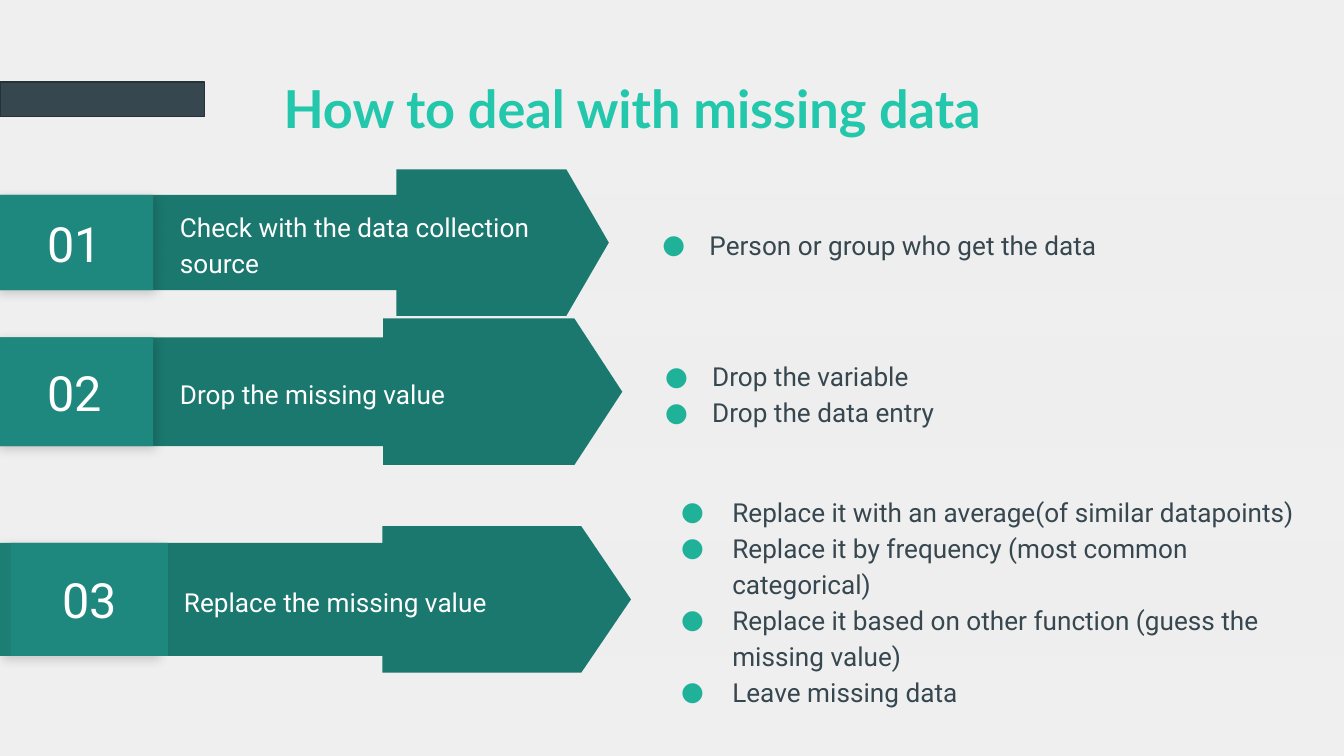
from lxml import etree
from pptx import Presentation
from pptx.dml.color import RGBColor
from pptx.enum.shapes import MSO_SHAPE
from pptx.enum.text import MSO_ANCHOR, MSO_AUTO_SIZE, PP_ALIGN
from pptx.oxml.ns import qn
from pptx.util import Inches, Pt

RECT = MSO_SHAPE.RECTANGLE
POINTER = MSO_SHAPE.FLOWCHART_OFFPAGE_CONNECTOR
TOP, MIDDLE = MSO_ANCHOR.TOP, MSO_ANCHOR.MIDDLE
LEFT, CENTER = PP_ALIGN.LEFT, PP_ALIGN.CENTER
CELL = Inches(0.1)
COLUMNS, ROWS = 100, 56.25
POINTER_HEIGHT = 10.9
TEAL, DARK, WHITE = "1B786E", "37474F", "FFFFFF"


def cells(*counts):
    return [round(count * CELL) for count in counts]


def color(value):
    return RGBColor.from_string(value)


def add_block(parent, kind, box, fill, line=None):
    block = parent.shapes.add_shape(kind, *cells(*box))
    block.shadow.inherit = False
    block.fill.solid()
    block.fill.fore_color.rgb = color(fill)
    if line:
        block.line.color.rgb = color(line)
        block.line.width = Pt(0.75)
    else:
        block.line.fill.background()
    return block


def add_soft_shadow(block):
    effects = block._element.spPr.find(qn("a:effectLst"))
    shadow = etree.SubElement(
        effects, qn("a:outerShdw"), blurRad=str(Pt(5.6)),
        dist=str(Pt(2.2)), dir=str(45 * 60000), rotWithShape="0")
    shade = etree.SubElement(shadow, qn("a:srgbClr"), val="000000")
    etree.SubElement(shade, qn("a:alpha"), val="17000")


def set_frame(frame, anchor=MIDDLE):
    frame.word_wrap = True
    frame.auto_size = MSO_AUTO_SIZE.NONE
    frame.vertical_anchor = anchor
    frame.margin_left = frame.margin_right = CELL
    frame.margin_top = frame.margin_bottom = CELL


def add_span(para, text, size, ink, font="Roboto", bold=False):
    span = para.add_run()
    span.text = text
    span.font.size = Pt(size)
    span.font.name = font
    span.font.bold = bold
    span.font.color.rgb = color(ink)


def set_bullet(para, hanging):
    props = para._p.get_or_add_pPr()
    props.set("marL", str(Inches(0.5)))
    props.set("indent", str(-Inches(hanging)))
    tint = etree.SubElement(props, qn("a:buClr"))
    etree.SubElement(tint, qn("a:srgbClr"), val="1FB299")
    etree.SubElement(props, qn("a:buFont"), typeface="Roboto")
    etree.SubElement(props, qn("a:buChar"), char="●")


def add_text(parent, box, lines, ink, hanging=None):
    frame = parent.shapes.add_textbox(*cells(*box)).text_frame
    set_frame(frame)
    for index, line in enumerate(lines):
        para = frame.add_paragraph() if index else frame.paragraphs[0]
        para.line_spacing = 1.15
        if hanging:
            set_bullet(para, hanging)
        add_span(para, line, 14, ink)


def add_heading(page, box, text):
    title = page.shapes.title
    title.left, title.top, title.width, title.height = cells(*box)
    set_frame(title.text_frame, TOP)
    para = title.text_frame.paragraphs[0]
    para.alignment = LEFT
    para.line_spacing = 1.15
    props = para._p.get_or_add_pPr()
    props.set("marL", str(Inches(0.97)))
    props.set("indent", "0")
    add_span(para, text, 28, "23C7AC", "Lato", True)


def add_step(page, box, step):
    left, top, width, height = box
    group = page.shapes.add_group_shape()
    add_block(group, RECT, (left + 36.1, top, width - 36.1, height), "EEEEEE")
    add_block(group, RECT, (left + 11.7, top, 31.1, height), TEAL)

    center_x, center_y = left + 37.7, top + height / 2
    length = step["pointer"]
    pointer = add_block(
        group, POINTER,
        (center_x - POINTER_HEIGHT / 2, center_y - length / 2, POINTER_HEIGHT, length), TEAL)
    pointer.rotation = 270

    add_text(group, (left + 12.7, top + 1, 32.8, height - 2), [step["label"]], WHITE)
    add_soft_shadow(add_block(group, RECT, (left, top, 11.7, height), "1D7E74"))
    tile = add_block(group, RECT, (left + step["shift"], top, 11.7, height), "1F887E")
    set_frame(tile.text_frame)
    para = tile.text_frame.paragraphs[0]
    para.alignment = CENTER
    add_span(para, step["number"], 26, WHITE)
    add_text(group, (left + step["notes_left"], top, 50.2, height),
             step["notes"], DARK, step["hanging"])


STEPS = [
    ((-0.3, 14.5, 100.4, 7.1), {
        "number": "01", "label": "Check with the data collection source",
        "pointer": 15.8, "shift": 0, "notes_left": 47.1, "hanging": 0.35,
        "notes": ["Person or group who get the data"]}),
    ((-0.3, 25.1, 100.7, 8.1), {
        "number": "02", "label": "Drop the missing value",
        "pointer": 17.8, "shift": 0, "notes_left": 47.3, "hanging": 0.35,
        "notes": ["Drop the variable", "Drop the data entry"]}),
    ((0, 40.4, 100.6, 8.4), {
        "number": "03", "label": "Replace the missing value",
        "pointer": 18.5, "shift": 0.8, "notes_left": 48.5, "hanging": 0.38,
        "notes": ["Replace it with an average(of similar datapoints)",
                  "Replace it by frequency (most common categorical)",
                  "Replace it based on other function (guess the missing value)",
                  "Leave missing data"]}),
]


def main():
    deck = Presentation()
    deck.slide_width, deck.slide_height = cells(COLUMNS, ROWS)
    page = deck.slides.add_slide(deck.slide_layouts[5])
    page.background.fill.solid()
    page.background.fill.fore_color.rgb = color("EFEFEF")
    add_block(page, RECT, (0, 6.1, 15.2, 2.6), DARK, "263238")
    add_heading(page, (10.4, 4, 82.1, 5.5), "How to deal with missing data")
    for box, step in reversed(STEPS):
        add_step(page, box, step)
    deck.save("out.pptx")


if __name__ == "__main__":
    main()
